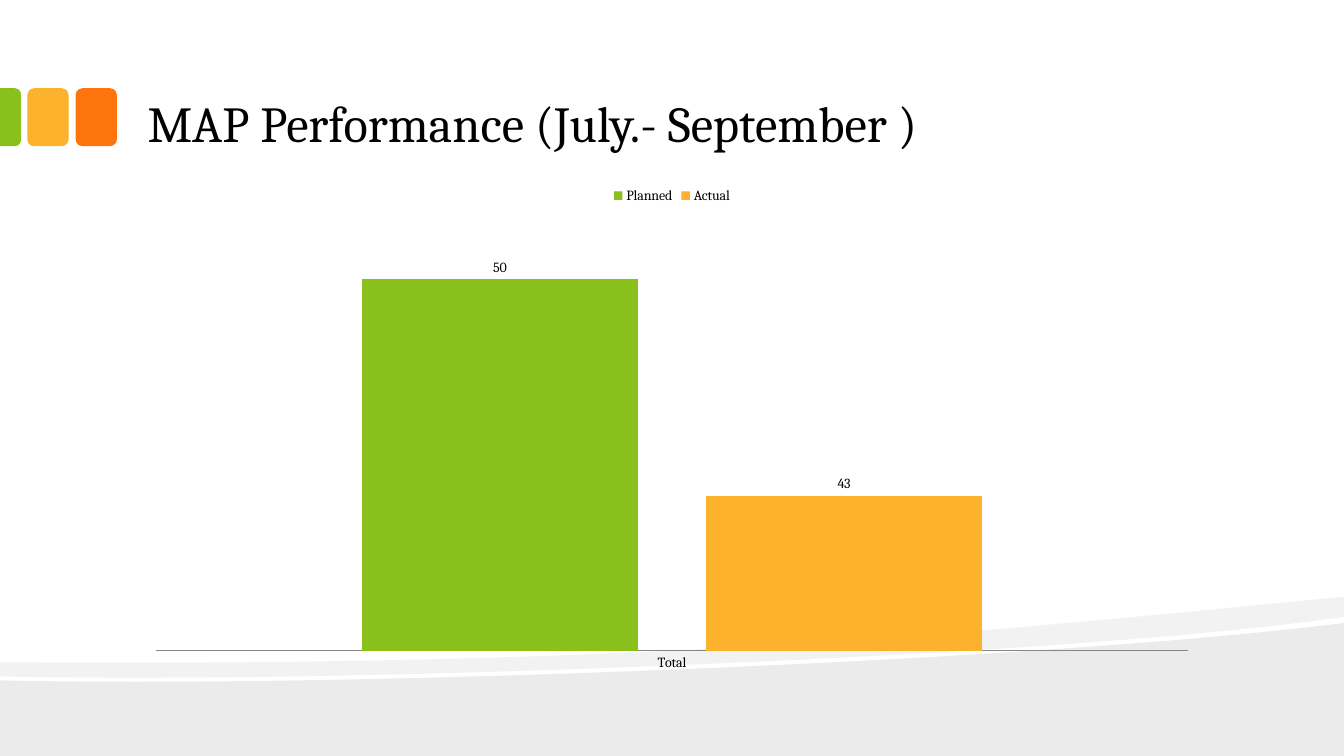
import lxml.etree
import pptx
import pptx.chart.data
import pptx.dml.color
import pptx.enum.chart
import pptx.enum.shapes
import pptx.enum.text
import pptx.oxml.ns
import pptx.util

RGB = pptx.dml.color.RGBColor
BLACK = RGB(0x00, 0x00, 0x00)
GREEN = RGB(0x89, 0xC0, 0x1C)
AMBER = RGB(0xFC, 0xB2, 0x2C)
ORANGE = RGB(0xFE, 0x75, 0x0E)
AXIS_GRAY = RGB(0x86, 0x86, 0x86)

# Slide grid: 160 columns by 90 rows of square cells
COLUMNS, ROWS = 160, 90
CELL = pptx.util.Inches(7.5) // ROWS
SHAPES = pptx.enum.shapes.MSO_SHAPE
tag_name = pptx.oxml.ns.qn

# Wave outlines: each step lists its points, one for a corner, three for a curve
LOWER_WAVE = [[(160, 74.16)], [(160, 90)], [(0, 90)], [(0, 81)],
              [(42.24, 81.96), (125.04, 78.6), (160, 74.16)]]
UPPER_WAVE = [[(160, 71.04)], [(160, 73.44)],
              [(150.6, 74.76), (137.88, 75.96), (123.48, 76.92)],
              [(83.76, 79.56), (30.96, 81.24), (0, 80.52)],
              [(0, 78.84)],
              [(78.24, 79.44), (116.52, 75.24), (160, 71.04)]]


def cells(*counts):
    return [round(count * CELL) for count in counts]


def set_format(target, values):
    for name, value in values.items():
        setattr(target, name, value)


def set_font(font, size):
    set_format(font, {"name": "Cambria", "size": pptx.util.Pt(size), "bold": False})
    font.color.rgb = BLACK


def paint(shape, color):
    shape.shadow.inherit = False
    shape.fill.solid()
    shape.fill.fore_color.rgb = color
    shape.line.fill.background()


def add_wave(page, outline, opacity):
    first, *rest = [cells(*step[-1]) for step in outline]
    builder = page.shapes.build_freeform(*first, scale=1.0)
    builder.add_line_segments(rest, close=True)
    wave = builder.convert_to_shape()
    paint(wave, BLACK)

    # Bend the straight segments that have control points
    segments = wave._element.findall(".//" + tag_name("a:lnTo"))
    for segment, step in zip(segments, outline[1:]):
        if len(step) == 3:
            segment.tag = tag_name("a:cubicBezTo")
            for index, control in enumerate(step[:2]):
                x, y = cells(*control)
                point = lxml.etree.Element(tag_name("a:pt"),
                                           x=str(x - wave.left), y=str(y - wave.top))
                segment.insert(index, point)

    color = wave._element.find(".//" + tag_name("a:srgbClr"))
    lxml.etree.SubElement(color, tag_name("a:alpha"), val=str(opacity * 1000))


def add_tiles(page, top, height):
    # Two whole tiles, then one cut off by the slide edge
    width, pitch, right = 4.92, 5.75, 9
    for index, color in enumerate((ORANGE, AMBER)):
        box = cells(right - index * pitch, top, width, height)
        paint(page.shapes.add_shape(SHAPES.ROUNDED_RECTANGLE, *box), color)
    stub = 2.5
    box = cells((stub - height) / 2, top + (height - stub) / 2, height, stub)
    tile = page.shapes.add_shape(SHAPES.ROUND_2_SAME_RECTANGLE, *box)
    tile.rotation = 90
    tile.adjustments[0] = 0.29
    paint(tile, GREEN)


def add_title(page, box, text):
    frame = page.shapes.add_textbox(*cells(*box)).text_frame
    side, edge = pptx.util.Inches(0.13), pptx.util.Inches(0.07)
    set_format(frame, {"word_wrap": True,
                       "vertical_anchor": pptx.enum.text.MSO_ANCHOR.BOTTOM,
                       "margin_left": side, "margin_right": side,
                       "margin_top": edge, "margin_bottom": edge})
    span = frame.paragraphs[0].add_run()
    span.text = text
    set_font(span.font, 36)


def add_performance_chart(page, box):
    kinds = pptx.enum.chart
    data = pptx.chart.data.CategoryChartData()
    data.categories = ["Total"]
    data.add_series("Planned", [50])
    data.add_series("Actual", [43])
    chart = page.shapes.add_chart(kinds.XL_CHART_TYPE.COLUMN_CLUSTERED,
                                  *cells(*box), data).chart
    set_format(chart, {"has_title": False, "has_legend": True})
    set_font(chart.font, 10)
    set_format(chart.legend, {"position": kinds.XL_LEGEND_POSITION.TOP,
                              "include_in_layout": False})

    # Axes
    set_format(chart.value_axis, {"visible": False, "has_major_gridlines": False,
                                  "minimum_scale": 38, "maximum_scale": 52})
    chart.category_axis.major_tick_mark = kinds.XL_TICK_MARK.NONE
    axis_line = chart.category_axis.format.line
    axis_line.color.rgb = AXIS_GRAY
    axis_line.width = pptx.util.Pt(0.75)

    # Columns and their values
    plot = chart.plots[0]
    set_format(plot, {"gap_width": 150, "overlap": -25, "vary_by_categories": False})
    for series, color in zip(plot.series, (GREEN, AMBER)):
        series.format.fill.solid()
        series.format.fill.fore_color.rgb = color
        labels = series.data_labels
        set_format(labels, {"show_value": True,
                            "position": kinds.XL_LABEL_POSITION.OUTSIDE_END})
        set_font(labels.font, 10)


def main():
    deck = pptx.Presentation()
    set_format(deck, {"slide_width": COLUMNS * CELL, "slide_height": ROWS * CELL})
    page = deck.slides.add_slide(deck.slide_layouts[6])
    add_wave(page, LOWER_WAVE, 8)
    add_wave(page, UPPER_WAVE, 5)
    add_tiles(page, top=10.5, height=6.9)
    add_title(page, (16, 2, 128, 17), "MAP Performance (July.- September )")
    add_performance_chart(page, (16, 21, 128, 60))
    deck.save("out.pptx")


if __name__ == "__main__":
    main()
